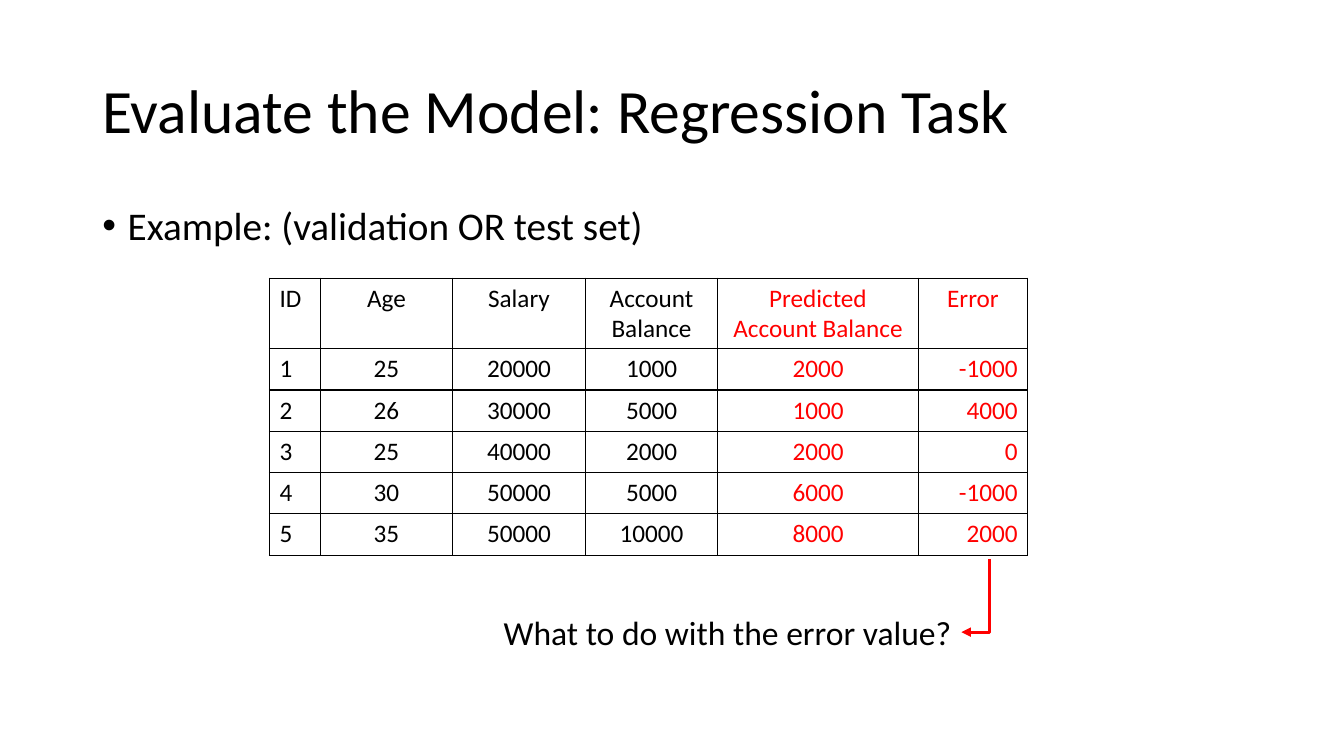
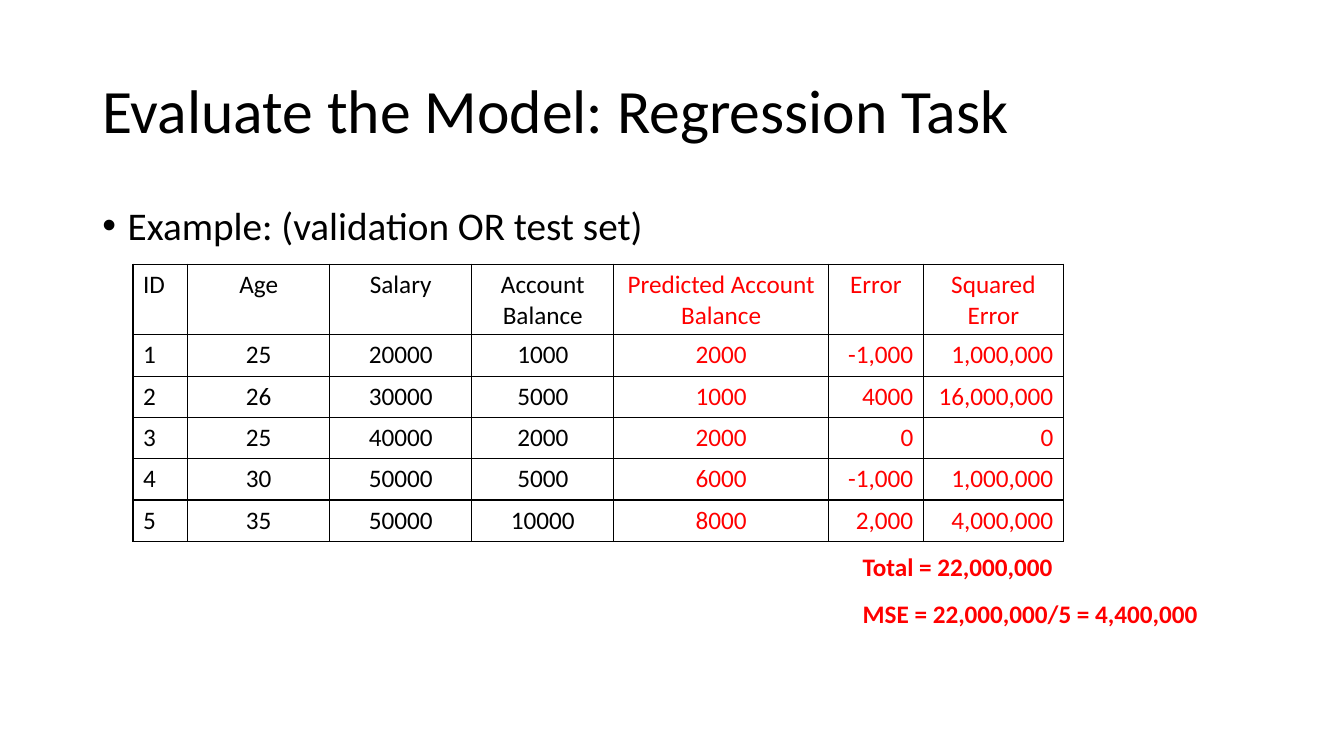
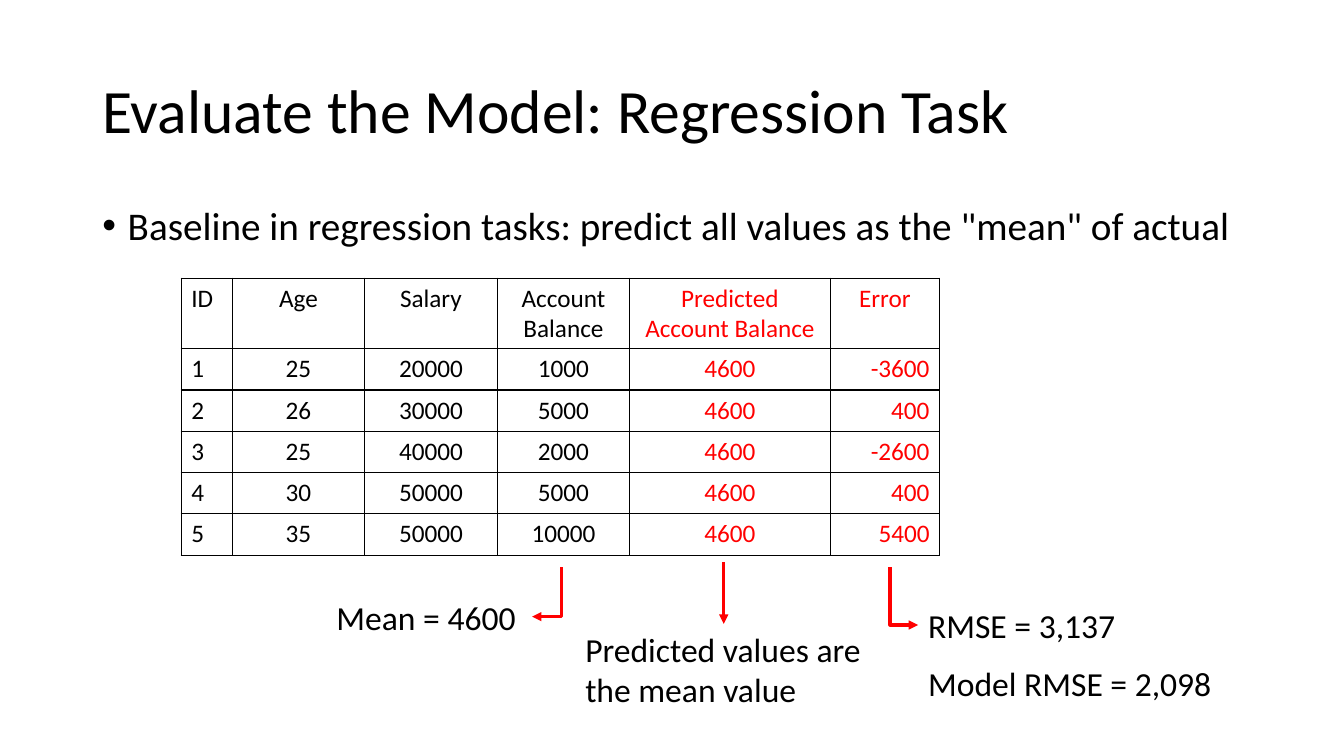
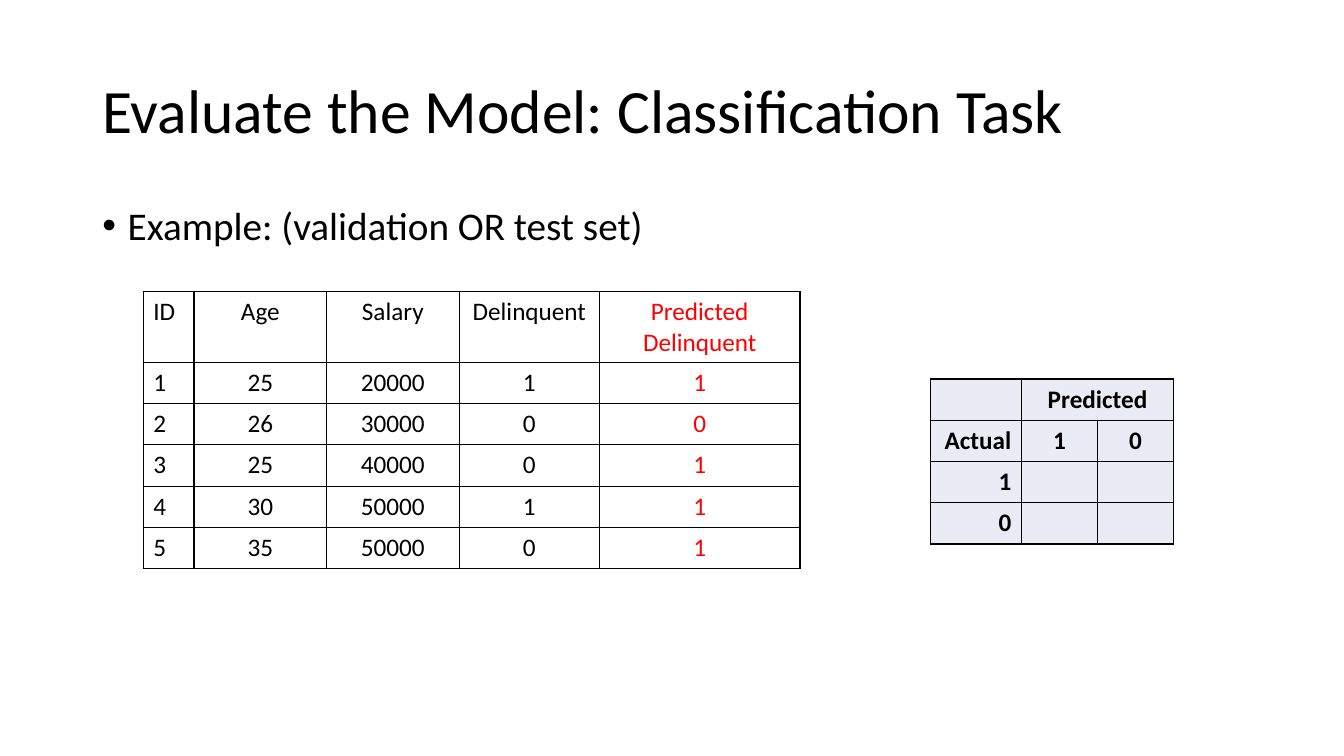
from pptx import Presentation
from pptx.util import Cm, Pt
from pptx.dml.color import RGBColor
from pptx.enum.shapes import MSO_CONNECTOR as Link
from pptx.enum.text import MSO_ANCHOR as Anchor, PP_ALIGN as Align
from pptx.oxml.ns import qn
from lxml.etree import SubElement

BLACK = RGBColor(0x00, 0x00, 0x00)
RED = RGBColor(0xFF, 0x00, 0x00)
PALE = RGBColor(0xE9, 0xEB, 0xF5)
FONT = "Calibri"
ALIGN = {"l": Align.LEFT, "c": Align.CENTER, "r": Align.RIGHT}
ROW = 1.04


class Deck:
    """Holds the style and the current slide."""

    def __init__(self):
        self.prs = Presentation()
        self.prs.slide_width = Cm(33.87)
        self.prs.slide_height = Cm(19.05)

    def page(self, title, point):
        self.slide = self.prs.slides.add_slide(self.prs.slide_layouts[6])
        self.shapes = self.slide.shapes
        head = self.text(title, 2.33, 1.02, 29.21, 3.68, 44)
        head.vertical_anchor = Anchor.MIDDLE
        body = self.text(point, 2.33, 5.08, 29.21, 12.09, 28, bullet=True)
        for frame in (head, body):
            frame.paragraphs[0].line_spacing = 0.9

    def style(self, para, size, color=BLACK, bold=False, align="l"):
        para.alignment = ALIGN[align]
        font = para.font
        font.name, font.size, font.bold = FONT, Pt(size), bold
        font.color.rgb = color

    def text(self, words, x, y, w, h, size=24, color=BLACK, bold=False,
             align="l", bullet=False):
        frame = self.shapes.add_textbox(Cm(x), Cm(y), Cm(w), Cm(h)).text_frame
        frame.word_wrap = True
        para = frame.paragraphs[0]
        para.text = words
        if bullet:
            props = para._p.get_or_add_pPr()
            props.set("marL", str(Cm(0.64)))
            props.set("indent", str(-Cm(0.64)))
            SubElement(props, qn("a:buFont"), typeface="Arial")
            SubElement(props, qn("a:buChar"), char="•")
        self.style(para, size, color, bold, align)
        return frame

    def border(self, cell):
        props = cell._tc.get_or_add_tcPr()
        for side in ("lnL", "lnR", "lnT", "lnB"):
            line = SubElement(props, qn(f"a:{side}"), w=str(Pt(1)))
            fill = SubElement(line, qn("a:solidFill"))
            SubElement(fill, qn("a:srgbClr"), val=str(BLACK))

    def table(self, rows, x, y, widths, aligns, red=99, fill=None, bold=False):
        """Columns from number red on are red; header cells are centred."""
        grid = self.shapes.add_table(
            len(rows), len(widths), Cm(x), Cm(y),
            Cm(sum(widths)), Cm(ROW * len(rows))).table
        grid.first_row = grid.horz_banding = False
        for col, width in zip(grid.columns, widths):
            col.width = Cm(width)
        for r, row in enumerate(rows):
            for c, value in enumerate(row):
                cell = grid.cell(r, c)
                self.border(cell)
                if fill is None:
                    cell.fill.background()
                else:
                    cell.fill.solid()
                    cell.fill.fore_color.rgb = fill
                cell.text = str(value)
                align = "c" if r == 0 and c > 0 else aligns[c]
                self.style(cell.text_frame.paragraphs[0], 18,
                           RED if c >= red else BLACK, bold, align)
        return grid

    def arrow(self, x, y, tip_x, tip_y):
        """Drop from (x, y), then turn sideways to the tip if needed."""
        kind = Link.STRAIGHT if x == tip_x else Link.ELBOW
        link = self.shapes.add_connector(
            kind, Cm(tip_x), Cm(tip_y), Cm(x), Cm(y))
        props = link._element.spPr
        if kind == Link.ELBOW:
            props.find(qn("a:prstGeom")).set("prst", "bentConnector2")
        link.line.color.rgb = RED
        link.line.width = Pt(2.25)
        SubElement(link.line._get_or_add_ln(), qn("a:headEnd"),
                   type="triangle")
        SubElement(props, qn("a:effectLst"))


# Data shared by the slides
TASK = "Evaluate the Model: Regression Task"
EXAMPLE = "Example: (validation OR test set)"
PEOPLE = {
    "ID": (1, 2, 3, 4, 5),
    "Age": (25, 26, 25, 30, 35),
    "Salary": (20000, 30000, 40000, 50000, 50000),
}
ACTUAL = {"Account Balance": (1000, 5000, 2000, 5000, 10000)}
GUESS = "Predicted Account Balance"
MODEL = (2000, 1000, 2000, 6000, 8000)
WIDTHS = (1.28, 3.34, 3.34, 3.34, 5.05, 2.76)


def sheet(*parts):
    """Join named columns into table rows."""
    cols = {}
    for part in (PEOPLE, *parts):
        cols.update(part)
    return [tuple(cols), *zip(*cols.values())]


def main():
    deck = Deck()

    # Errors of the model
    deck.page(TASK, EXAMPLE)
    rows = sheet(ACTUAL, {GUESS: MODEL, "Error": (-1000, 4000, 0, -1000, 2000)})
    deck.table(rows, 6.79, 7.01, WIDTHS, "lccccr", red=4)
    deck.text("What to do with the error value?", 10.26, 15.29, 13.97, 1.28,
              align="r")
    deck.arrow(24.94, 14.1, 24.23, 15.93)

    # Squared errors
    deck.page(TASK, EXAMPLE)
    rows = sheet(ACTUAL, {
        GUESS: MODEL,
        "Error": ("-1,000", "4000", "0", "-1,000", "2,000"),
        "Squared Error": ("1,000,000", "16,000,000", "0", "1,000,000",
                          "4,000,000"),
    })
    deck.table(rows, 3.35, 6.66, (1.38, 3.58, 3.58, 3.58, 5.41, 2.39, 3.53),
               "lccccrr", red=4)
    sums = ("Total = 22,000,000", "MSE = 22,000,000/5 = 4,400,000")
    for i, words in enumerate(sums):
        deck.text(words, 21.49, 13.77 + 1.19 * i, 9.3, 1.02, 18, RED, True)

    # Baseline
    deck.page(TASK, "Baseline in regression tasks: predict all values "
                    'as the "mean" of actual')
    rows = sheet(ACTUAL, {GUESS: (4600,) * 5,
                          "Error": (-3600, 400, -2600, 400, 5400)})
    deck.table(rows, 4.57, 7.01, WIDTHS, "lccccr", red=4)
    for words, x, y, w in (
            ("Mean = 4600", 8.23, 14.91, 5.18),
            ("Predicted values are the mean value", 14.5, 15.72, 7.49),
            ("RMSE = 3,137", 23.14, 15.11, 7.9),
            ("Model RMSE = 2,098", 23.14, 16.59, 7.9)):
        deck.text(words, x, y, w, 1.28)
    for ends in ((14.15, 14.3, 13.41, 15.54), (18.24, 14.17, 18.24, 15.72),
                 (22.43, 14.3, 23.14, 15.75)):
        deck.arrow(*ends)

    # Classes and the empty confusion matrix
    deck.page("Evaluate the Model: Classification Task", EXAMPLE)
    rows = sheet({"Delinquent": (1, 0, 0, 1, 0),
                  "Predicted Delinquent": (1, 0, 1, 1, 1)})
    deck.table(rows, 3.61, 7.35, (1.28, 3.34, 3.34, 3.54, 5.05), "lcccc",
               red=4)
    rows = (("", "Predicted", ""), ("Actual", 1, 0), (1, "", ""), (0, "", ""))
    grid = deck.table(rows, 23.44, 9.55, (2.3, 1.92, 1.92), "rcc",
                      fill=PALE, bold=True)
    grid.cell(0, 1).merge(grid.cell(0, 2))

    deck.prs.save("out.pptx")


if __name__ == "__main__":
    main()
